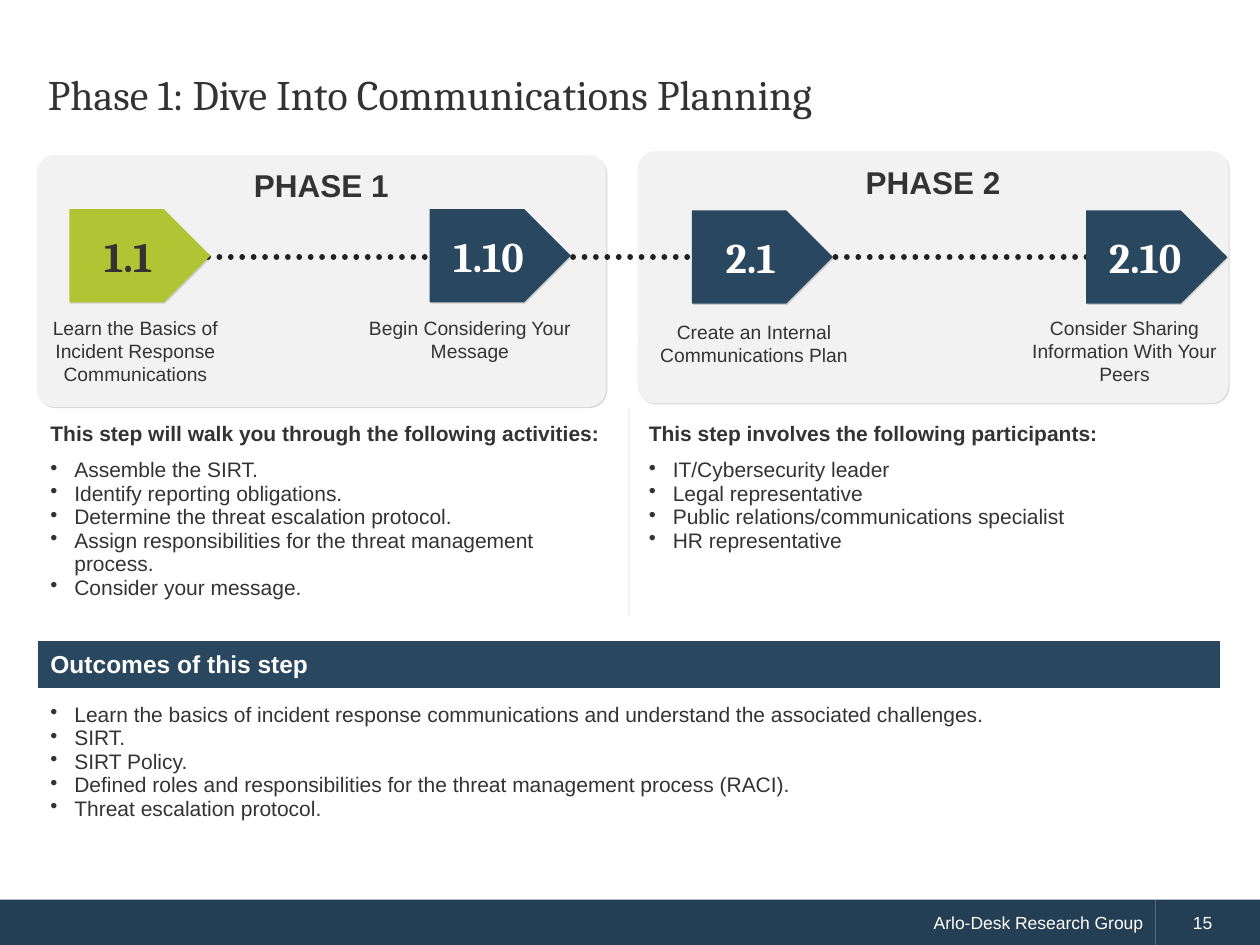
import dataclasses
import lxml.etree
import pptx
import pptx.dml.color
import pptx.enum.dml
import pptx.enum.shapes
import pptx.enum.text
import pptx.oxml
import pptx.oxml.ns
import pptx.util

COLS, ROWS = 100, 75
WIDE, HIGH = pptx.util.Inches(10), pptx.util.Inches(7.5)
INK, NAVY, DEEP, LIME, PALE, WHITE = (
    "333333", "29475F", "243F54", "B0C534", "F2F2F2", "FFFFFF")
KIND = pptx.enum.shapes.MSO_SHAPE
SIDE = pptx.enum.text.PP_ALIGN
HOLD = pptx.enum.text.MSO_ANCHOR
NS = pptx.oxml.ns.nsdecls("a")


@dataclasses.dataclass
class Phase:
    name: str
    left: float
    top: float
    wide: float


@dataclasses.dataclass
class Step:
    code: str
    left: float
    top: float
    fill: str
    ink: str
    note: str
    edge: float
    drop: float
    span: float


PHASES = [Phase("PHASE 2", 50.6, 12, 46.9), Phase("PHASE 1", 2.9, 12.3, 45.2)]
STEPS = [
    Step("1.1", 5.5, 16.6, LIME, INK,
         "Learn the Basics of Incident Response Communications", 2.5, 24.6, 16.5),
    Step("1.10", 34.1, 16.6, NAVY, WHITE,
         "Begin Considering Your Message", 26.6, 24.6, 21.4),
    Step("2.1", 54.9, 16.7, NAVY, WHITE,
         "Create an Internal Communications Plan", 50.6, 24.9, 18.5),
    Step("2.10", 86.2, 16.7, NAVY, WHITE,
         "Consider Sharing Information With Your Peers", 80.9, 24.6, 16.7),
]
TASKS = ["Assemble the SIRT.", "Identify reporting obligations.",
         "Determine the threat escalation protocol.",
         "Assign responsibilities for the threat management process.",
         "Consider your message."]
ROLES = ["IT/Cybersecurity leader", "Legal representative",
         "Public relations/communications specialist", "HR representative"]
GAINS = ["Learn the basics of incident response communications and understand "
         "the associated challenges.",
         "SIRT.", "SIRT Policy.",
         "Defined roles and responsibilities for the threat management process (RACI).",
         "Threat escalation protocol."]


def col(num: float) -> int:
    return round(WIDE * num / COLS)


def row(num: float) -> int:
    return round(HIGH * num / ROWS)


def box(left: float, top: float, wide: float, high: float) -> tuple:
    return col(left), row(top), col(wide), row(high)


def hue(code: str) -> pptx.dml.color.RGBColor:
    return pptx.dml.color.RGBColor.from_string(code)


def write(frame, *lines: str, size=12, font="Arial", ink=INK, bold=False,
          side=SIDE.LEFT, hold=None, list_in=0, indent=0, lead=None) -> None:
    frame.word_wrap = True
    if hold is not None:
        frame.vertical_anchor = hold
    for num, line in enumerate(lines):
        para = frame.add_paragraph() if num else frame.paragraphs[0]
        para.alignment = side
        if lead:
            para.line_spacing = pptx.util.Pt(lead)
        run = para.add_run()
        run.text = line
        run.font.size, run.font.name, run.font.bold = pptx.util.Pt(size), font, bold
        run.font.color.rgb = hue(ink)
        prop = para._p.get_or_add_pPr()
        if indent:
            prop.set("marR" if side == SIDE.RIGHT else "marL", str(col(indent)))
        if list_in:
            prop.set("marL", str(col(list_in)))
            prop.set("indent", str(-col(list_in)))
            prop.append(pptx.oxml.parse_xml(f'<a:buChar {NS} char="•"/>'))


def block(page, kind, place: tuple, fill: str, shade=False):
    item = page.shapes.add_shape(kind, *place)
    item.shadow.inherit = False
    item.fill.solid()
    item.fill.fore_color.rgb = hue(fill)
    item.line.fill.background()
    if shade:
        glow = item._element.spPr.find(pptx.oxml.ns.qn("a:effectLst"))
        glow.append(pptx.oxml.parse_xml(
            f'<a:outerShdw {NS} blurRad="0" dist="12700" dir="2700000">'
            '<a:srgbClr val="000000"><a:alpha val="14000"/></a:srgbClr>'
            '</a:outerShdw>'))
    return item


def draw_phase(page, phase: Phase) -> None:
    card = block(page, KIND.ROUNDED_RECTANGLE,
                 box(phase.left, phase.top, phase.wide, 20), PALE, True)
    card.adjustments[0] = 0.07
    write(card.text_frame, phase.name, size=18, bold=True,
          side=SIDE.CENTER, hold=HOLD.TOP)


def draw_track(page) -> None:
    track = page.shapes.add_connector(pptx.enum.shapes.MSO_CONNECTOR.STRAIGHT,
                                      col(97.1), row(20.4), col(11.4), row(20.4))
    track.line.color.rgb = hue("212121")
    track.line.width = pptx.util.Pt(3.25)
    track.line.dash_style = pptx.enum.dml.MSO_LINE.ROUND_DOT
    track.line._get_or_add_ln().set("cap", "rnd")
    lxml.etree.SubElement(track._element.spPr, pptx.oxml.ns.qn("a:effectLst"))


def draw_step(page, step: Step) -> None:
    flag = block(page, KIND.PENTAGON, box(step.left, step.top, 11.2, 7.4),
                 step.fill, True)
    write(flag.text_frame, step.code, size=24, font="Cambria", ink=step.ink,
          bold=True, side=SIDE.CENTER, hold=HOLD.MIDDLE)
    note = page.shapes.add_textbox(*box(step.edge, step.drop, step.span, 6.6))
    write(note.text_frame, step.note, size=11, side=SIDE.CENTER)


def rule(cell, side: str) -> None:
    cell._tc.get_or_add_tcPr().insert(0, pptx.oxml.parse_xml(
        f'<a:{side} {NS} w="19050"><a:solidFill><a:srgbClr val="{PALE}"/>'
        f'</a:solidFill></a:{side}>'))


def draw_grid(page) -> None:
    highs = [3.5, 13, 2, 3.7, 17.7]
    grid = page.shapes.add_table(5, 2, *box(3, 32.4, 93.8, sum(highs))).table
    grid.first_row = grid.horz_banding = False
    style = grid._tbl.tblPr.find(pptx.oxml.ns.qn("a:tableStyleId"))
    style.text = "{2D5ABB26-0587-4C30-8999-92F81FD0307C}"
    for line, high in zip(grid.rows, highs):
        line.height = row(high)
    for cell in grid.iter_cells():
        cell.fill.background()
    for cell in grid.rows[2].cells:
        cell.margin_top = cell.margin_bottom = 0
        cell.text_frame.paragraphs[0]._p.append(
            pptx.oxml.parse_xml(f'<a:endParaRPr {NS} sz="600"/>'))
    heads = ["This step will walk you through the following activities:",
             "This step involves the following participants:"]
    for num, (head, items, side) in enumerate(zip(heads, [TASKS, ROLES], ["lnR", "lnL"])):
        top, low = grid.cell(0, num), grid.cell(1, num)
        write(top.text_frame, head, bold=True)
        top.vertical_anchor = HOLD.BOTTOM
        write(low.text_frame, *items, list_in=1.9)
        for cell in (top, low):
            rule(cell, side)
            if num:
                cell.margin_left = col(1.6)
    band, last = grid.cell(3, 0), grid.cell(4, 0)
    for num, cell in enumerate((band, last), 3):
        cell.merge(grid.cell(num, 1))
    band.fill.solid()
    band.fill.fore_color.rgb = hue(NAVY)
    band.vertical_anchor = HOLD.MIDDLE
    write(band.text_frame, "Outcomes of this step", size=14, ink=WHITE, bold=True)
    last.margin_top = row(1.2)
    write(last.text_frame, *GAINS, list_in=1.9)


def draw_foot(page) -> None:
    for text, left, wide, side, pad in [
            ("Arlo-Desk Research Group", 0, 91.7, SIDE.RIGHT, 0),
            ("15", 91.7, 8.3, SIDE.LEFT, 2)]:
        bar = block(page, KIND.RECTANGLE, box(left, 71.4, wide, 3.6), DEEP)
        write(bar.text_frame, text, size=10, ink=WHITE, side=side,
              hold=HOLD.MIDDLE, indent=pad)


def main() -> None:
    deck = pptx.Presentation()
    deck.slide_width, deck.slide_height = WIDE, HIGH
    page = deck.slides.add_slide(deck.slide_layouts[5])
    draw_foot(page)
    for phase in PHASES:
        draw_phase(page, phase)
    head = page.shapes.title
    head.left, head.top, head.width, head.height = box(2.8, 2.9, 94.3, 9.4)
    head.text_frame.auto_size = pptx.enum.text.MSO_AUTO_SIZE.NONE
    write(head.text_frame, "Phase 1: Dive Into Communications Planning", size=24,
          font="Cambria", hold=HOLD.MIDDLE, lead=26)
    draw_track(page)
    for step in STEPS:
        draw_step(page, step)
    draw_grid(page)
    deck.save("out.pptx")


if __name__ == "__main__":
    main()
